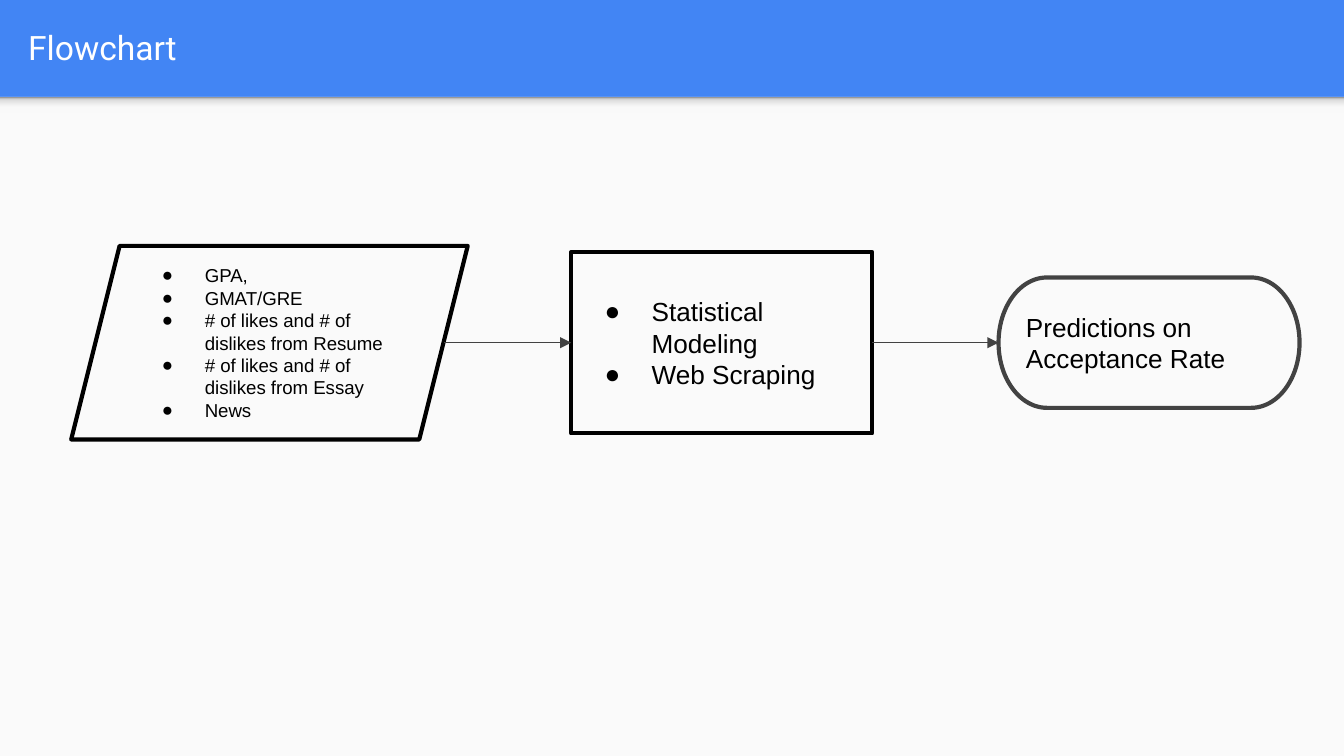
"""Build a flowchart slide leading from applicant data to predicted acceptance."""
import lxml.etree
import pptx
import pptx.dml.color
import pptx.enum.shapes
import pptx.enum.text
import pptx.oxml
import pptx.oxml.ns
import pptx.util

Inches = pptx.util.Inches
Pt = pptx.util.Pt
RGBColor = pptx.dml.color.RGBColor
SHAPES = pptx.enum.shapes.MSO_SHAPE
qn = pptx.oxml.ns.qn

BLUE = RGBColor(0x42, 0x85, 0xF4)
PAPER = RGBColor(0xFA, 0xFA, 0xFA)
WHITE = RGBColor(0xFF, 0xFF, 0xFF)
BLACK = RGBColor(0x00, 0x00, 0x00)
GRAY = RGBColor(0x42, 0x42, 0x42)
SHADOW_STOPS = [(0, "F9F9F9"), (36, "F9F9F9"), (80, "DEDEDE"), (100, "999999")]

WIDTH = 10
HEIGHT = WIDTH * 9 / 16
HEADER = 0.72
AXIS = 2.55
SLANT = 0.25


def add_plain_shape(kind, left, top, width, height):
    shape = slide.shapes.add_shape(
        kind, Inches(left), Inches(top), Inches(width), Inches(height))
    shape.shadow.inherit = False
    shape.fill.background()
    shape.line.fill.background()
    return shape


def write_text(frame, lines, font_name, size, color, hanging=0):
    frame.word_wrap = True
    frame.vertical_anchor = pptx.enum.text.MSO_ANCHOR.MIDDLE
    frame.margin_left = frame.margin_right = Inches(0.1)
    frame.margin_top = frame.margin_bottom = Inches(0.1)
    for index, line in enumerate(lines):
        paragraph = frame.add_paragraph() if index else frame.paragraphs[0]
        paragraph.alignment = pptx.enum.text.PP_ALIGN.LEFT
        run = paragraph.add_run()
        run.text = line
        run.font.name = font_name
        run.font.size = Pt(size)
        run.font.color.rgb = color
        if hanging:
            properties = paragraph._p.get_or_add_pPr()
            properties.set("marL", str(Inches(0.5)))
            properties.set("indent", str(-Inches(hanging)))
            bullet_color = lxml.etree.SubElement(properties, qn("a:buClr"))
            lxml.etree.SubElement(bullet_color, qn("a:srgbClr"), val=str(color))
            lxml.etree.SubElement(properties, qn("a:buFont"), typeface=font_name)
            lxml.etree.SubElement(properties, qn("a:buChar"), char="●")


presentation = pptx.Presentation()
presentation.slide_width = Inches(WIDTH)
presentation.slide_height = Inches(HEIGHT)
slide = presentation.slides.add_slide(presentation.slide_layouts[5])
slide.background.fill.solid()
slide.background.fill.fore_color.rgb = BLUE

title = slide.shapes.title
title.left, title.top = Inches(0.11), Inches(0.02)
title.width, title.height = Inches(9.65), Inches(0.66)
write_text(title.text_frame, ["Flowchart"], "Roboto", 18, WHITE)

content_panel = add_plain_shape(SHAPES.RECTANGLE, 0, HEADER, WIDTH, HEIGHT - HEADER)
content_panel.fill.solid()
content_panel.fill.fore_color.rgb = PAPER

header_shadow = add_plain_shape(SHAPES.RECTANGLE, 0, HEADER, WIDTH, 0.12)
header_shadow.fill.gradient()
gradient = header_shadow._element.spPr.find(qn("a:gradFill"))
stop_list = gradient.find(qn("a:gsLst"))
for stop in list(stop_list):
    stop_list.remove(stop)
for percent, color in SHADOW_STOPS:
    stop = lxml.etree.SubElement(stop_list, qn("a:gs"), pos=str(percent * 1000))
    lxml.etree.SubElement(stop, qn("a:srgbClr"), val=color)
header_shadow.fill.gradient_angle = 90

steps = [
    (SHAPES.PARALLELOGRAM, 0.53, 2.95, 1.44, BLACK, 10, 0.32,
     ["GPA, ", "GMAT/GRE", "# of likes and # of dislikes from Resume",
      "# of likes and # of dislikes from Essay", "News"]),
    (SHAPES.RECTANGLE, 4.25, 2.24, 1.35, BLACK, 14, 0.35,
     ["Statistical Modeling", "Web Scraping"]),
    (SHAPES.FLOWCHART_TERMINATOR, 7.43, 2.24, 0.97, GRAY, 14, 0,
     ["Predictions on Acceptance Rate"]),
]
previous_edge = None
for kind, left, width, height, outline, size, hanging, lines in steps:
    step = add_plain_shape(kind, left, AXIS - height / 2, width, height)
    step.line.color.rgb = outline
    step.line.width = Pt(2.25)
    lxml.etree.SubElement(step.line._get_or_add_ln(), qn("a:round"))
    write_text(step.text_frame, lines, "Arial", size, BLACK, hanging)

    if previous_edge is not None:
        arrow = slide.shapes.add_connector(
            pptx.enum.shapes.MSO_CONNECTOR.STRAIGHT,
            Inches(previous_edge), Inches(AXIS), Inches(left), Inches(AXIS))
        arrow.line.color.rgb = GRAY
        arrow.line.width = Pt(0.75)
        lxml.etree.SubElement(
            arrow.line._get_or_add_ln(), qn("a:tailEnd"), type="triangle")
        lxml.etree.SubElement(arrow._element.spPr, qn("a:effectLst"))

    previous_edge = left + width
    if kind == SHAPES.PARALLELOGRAM:
        step.adjustments[0] = SLANT
        previous_edge -= SLANT * height / 2

presentation.save("out.pptx")
